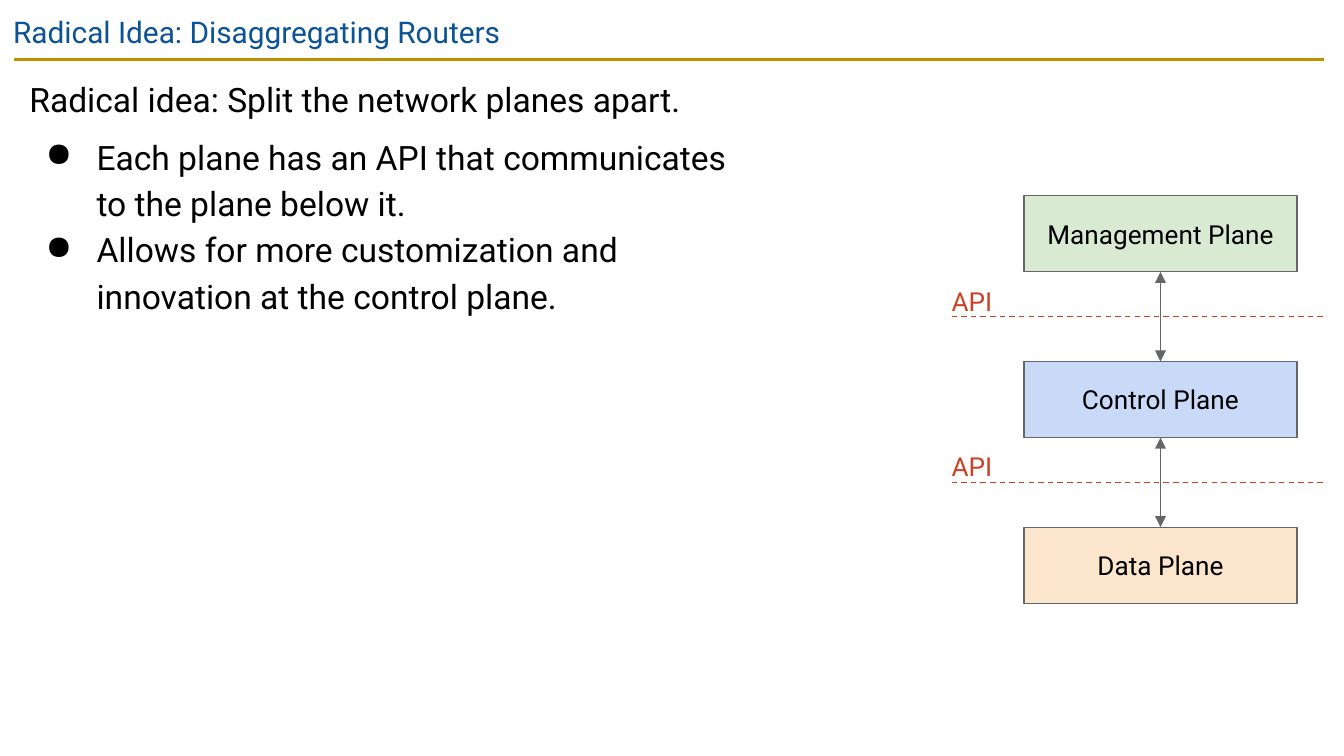
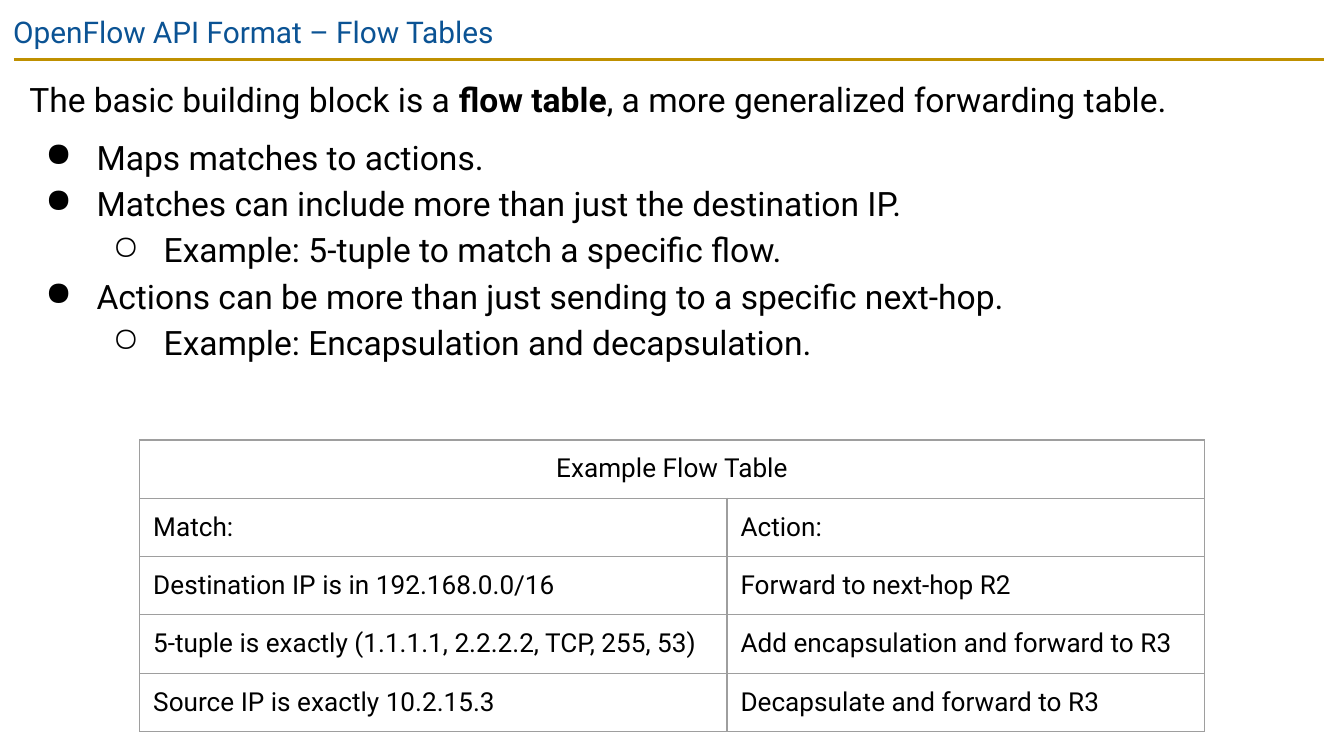
from typing import NamedTuple, Optional

from lxml.etree import SubElement
from pptx import Presentation
from pptx.dml.color import RGBColor
from pptx.enum.dml import MSO_LINE
from pptx.enum.shapes import MSO_CONNECTOR, MSO_SHAPE
from pptx.enum.text import MSO_ANCHOR, MSO_AUTO_SIZE, PP_ALIGN
from pptx.oxml.ns import qn
from pptx.util import Inches, Pt

WIDTH = Inches(10)
HEIGHT = WIDTH * 9 // 16
FONT = "Roboto"
INSET = Inches(0.1)
COLORS = {
    "text": "000000",
    "title": "0B5394",
    "rule": "BF9000",
    "outline": "666666",
    "api": "CC4125",
    "management": "D9EAD3",
    "control": "C9DAF8",
    "data": "FCE5CD",
    "grid": "9E9E9E",
}
BULLETS = ("●", "○")
BOTTOM, TOP = 2, 0


class Plane(NamedTuple):
    label: str
    color: str


class Line(NamedTuple):
    """A body line; depth None has no bullet, and **marks** set bold."""
    text: str
    depth: Optional[int] = None
    space_before: int = 0


PLANES = [
    Plane("Management Plane", "management"),
    Plane("Control Plane", "control"),
    Plane("Data Plane", "data"),
]
DISAGGREGATION = [
    Line("Radical idea: Split the network planes apart.", None, 6),
    Line("Each plane has an API that communicates to the plane below it.", 0, 6),
    Line("Allows for more customization and innovation at the control plane.", 0),
]
FLOW_TABLES = [
    Line("The basic building block is a **flow table**, a more generalized forwarding table.", None, 6),
    Line("Maps matches to actions.", 0, 6),
    Line("Matches can include more than just the destination IP.", 0),
    Line("Example: 5-tuple to match a specific flow.", 1),
    Line("Actions can be more than just sending to a specific next-hop.", 0),
    Line("Example: Encapsulation and decapsulation.", 1),
]
FLOW_TITLE = "Example Flow Table"
FLOW_ROWS = [
    ("Match:", "Action:"),
    ("Destination IP is in 192.168.0.0/16", "Forward to next-hop R2"),
    ("5-tuple is exactly (1.1.1.1, 2.2.2.2, TCP, 255, 53)", "Add encapsulation and forward to R3"),
    ("Source IP is exactly 10.2.15.3", "Decapsulate and forward to R3"),
]


def x(percent: float) -> int:
    """Length as a percentage of the slide's width."""
    return round(WIDTH * percent / 100)


def y(percent: float) -> int:
    """Length as a percentage of the slide's height."""
    return round(HEIGHT * percent / 100)


def rgb(name: str) -> RGBColor:
    return RGBColor.from_string(COLORS[name])


def write(paragraph, text: str, *, size: int, color: str = "text", align=PP_ALIGN.LEFT) -> None:
    paragraph.alignment = align
    for index, part in enumerate(text.split("**")):
        run = paragraph.add_run()
        run.text = part
        run.font.name = FONT
        run.font.size = Pt(size)
        run.font.bold = index % 2 == 1
        run.font.color.rgb = rgb(color)


def set_frame(frame, inset: int = INSET, anchor=MSO_ANCHOR.TOP) -> None:
    frame.word_wrap = True
    frame.vertical_anchor = anchor
    frame.margin_left = frame.margin_right = inset
    frame.margin_top = frame.margin_bottom = inset


def add_line(slide, start: tuple, end: tuple, color: str, width: float = 0.75):
    line = slide.shapes.add_connector(MSO_CONNECTOR.STRAIGHT, *start, *end)
    line.line.color.rgb = rgb(color)
    line.line.width = Pt(width)
    SubElement(line._element.spPr, qn("a:effectLst"))
    return line


def add_title(slide, title: str) -> None:
    """Title text with the rule below it."""
    add_line(slide, (x(1.03), y(7.85)), (x(98.5), y(7.85)), "rule", 1.5)
    frame = slide.shapes.add_textbox(0, 0, WIDTH, y(7.65)).text_frame
    set_frame(frame)
    write(frame.paragraphs[0], title, size=16, color="title")


def add_bullet(paragraph, depth: int) -> None:
    paragraph.level = depth
    properties = paragraph._p.get_or_add_pPr()
    properties.set("marL", str(Inches(0.5 * (depth + 1))))
    properties.set("indent", str(Inches(-0.38)))
    bullet_color = SubElement(properties, qn("a:buClr"))
    SubElement(bullet_color, qn("a:srgbClr"), val=COLORS["text"])
    SubElement(properties, qn("a:buChar"), char=BULLETS[depth])


def add_body(slide, lines: list[Line], width: int, height: int) -> None:
    frame = slide.shapes.add_textbox(x(1.2), y(7.85), width, height).text_frame
    set_frame(frame)
    for index, line in enumerate(lines):
        paragraph = frame.add_paragraph() if index else frame.paragraphs[0]
        paragraph.line_spacing = 1.15
        paragraph.space_before = Pt(line.space_before)
        if line.depth is not None:
            add_bullet(paragraph, line.depth)
        write(paragraph, line.text, size=18)


def add_plane(slide, plane: Plane, top: int):
    box = slide.shapes.add_shape(MSO_SHAPE.RECTANGLE, x(76.2), top, x(20.3), y(10.06))
    box.shadow.inherit = False
    box.fill.solid()
    box.fill.fore_color.rgb = rgb(plane.color)
    box.line.color.rgb = rgb("outline")
    box.line.width = Pt(0.75)
    set_frame(box.text_frame, anchor=MSO_ANCHOR.MIDDLE)
    write(box.text_frame.paragraphs[0], plane.label, size=14, align=PP_ALIGN.CENTER)
    return box


def add_api(slide, upper, lower) -> None:
    """Two-way arrow between planes, crossed halfway by the API boundary."""
    center = upper.left + upper.width // 2
    gap_top = upper.top + upper.height
    arrow = add_line(slide, (center, gap_top), (center, lower.top), "outline")
    arrow.begin_connect(upper, BOTTOM)
    arrow.end_connect(lower, TOP)
    outline = arrow.line._get_or_add_ln()
    for end in ("a:headEnd", "a:tailEnd"):
        SubElement(outline, qn(end), type="triangle")

    boundary = (gap_top + lower.top) // 2
    dashes = add_line(slide, (x(70.8), boundary), (x(98.6), boundary), "api")
    dashes.line.dash_style = MSO_LINE.DASH

    label_height = y(4.2)
    label = slide.shapes.add_textbox(x(70.8), boundary - label_height, x(3.5), label_height)
    set_frame(label.text_frame, inset=0)
    label.text_frame.auto_size = MSO_AUTO_SIZE.SHAPE_TO_FIT_TEXT
    write(label.text_frame.paragraphs[0], "API", size=14, color="api")


def style_cell(cell) -> None:
    cell.margin_left = cell.margin_right = INSET
    cell.margin_top = cell.margin_bottom = INSET
    properties = cell._tc.get_or_add_tcPr()
    for side in ("a:lnL", "a:lnR", "a:lnT", "a:lnB"):
        border = SubElement(properties, qn(side), w=str(Pt(0.75)))
        fill = SubElement(border, qn("a:solidFill"))
        SubElement(fill, qn("a:srgbClr"), val=COLORS["grid"])
    cell.fill.background()


def add_flow_table(slide) -> None:
    columns = (x(43.7), x(35.5))
    row_height = y(7.5)
    row_count = len(FLOW_ROWS) + 1
    table = slide.shapes.add_table(
        row_count, len(columns), x(10.4), y(58.2), sum(columns), row_height * row_count
    ).table
    table.first_row = table.horz_banding = False
    for column, width in zip(table.columns, columns):
        column.width = width
    for row in table.rows:
        row.height = row_height
        for cell in row.cells:
            style_cell(cell)
    heading = table.cell(0, 0)
    heading.merge(table.cell(0, len(columns) - 1))
    write(heading.text_frame.paragraphs[0], FLOW_TITLE, size=14, align=PP_ALIGN.CENTER)
    for row_index, entries in enumerate(FLOW_ROWS, start=1):
        for column_index, entry in enumerate(entries):
            cell = table.cell(row_index, column_index)
            write(cell.text_frame.paragraphs[0], entry, size=14)


def add_slide(deck, title: str):
    slide = deck.slides.add_slide(deck.slide_layouts[6])
    add_title(slide, title)
    return slide


def main() -> None:
    deck = Presentation()
    deck.slide_width, deck.slide_height = WIDTH, HEIGHT

    routers = add_slide(deck, "Radical Idea: Disaggregating Routers")
    add_body(routers, DISAGGREGATION, x(53.9), y(88))
    boxes = [add_plane(routers, plane, y(25.9 + 21.92 * i)) for i, plane in enumerate(PLANES)]
    for upper, lower in zip(boxes, boxes[1:]):
        add_api(routers, upper, lower)

    flows = add_slide(deck, "OpenFlow API Format – Flow Tables")
    add_body(flows, FLOW_TABLES, x(97.4), y(45.7))
    add_flow_table(flows)

    deck.save("out.pptx")


if __name__ == "__main__":
    main()
